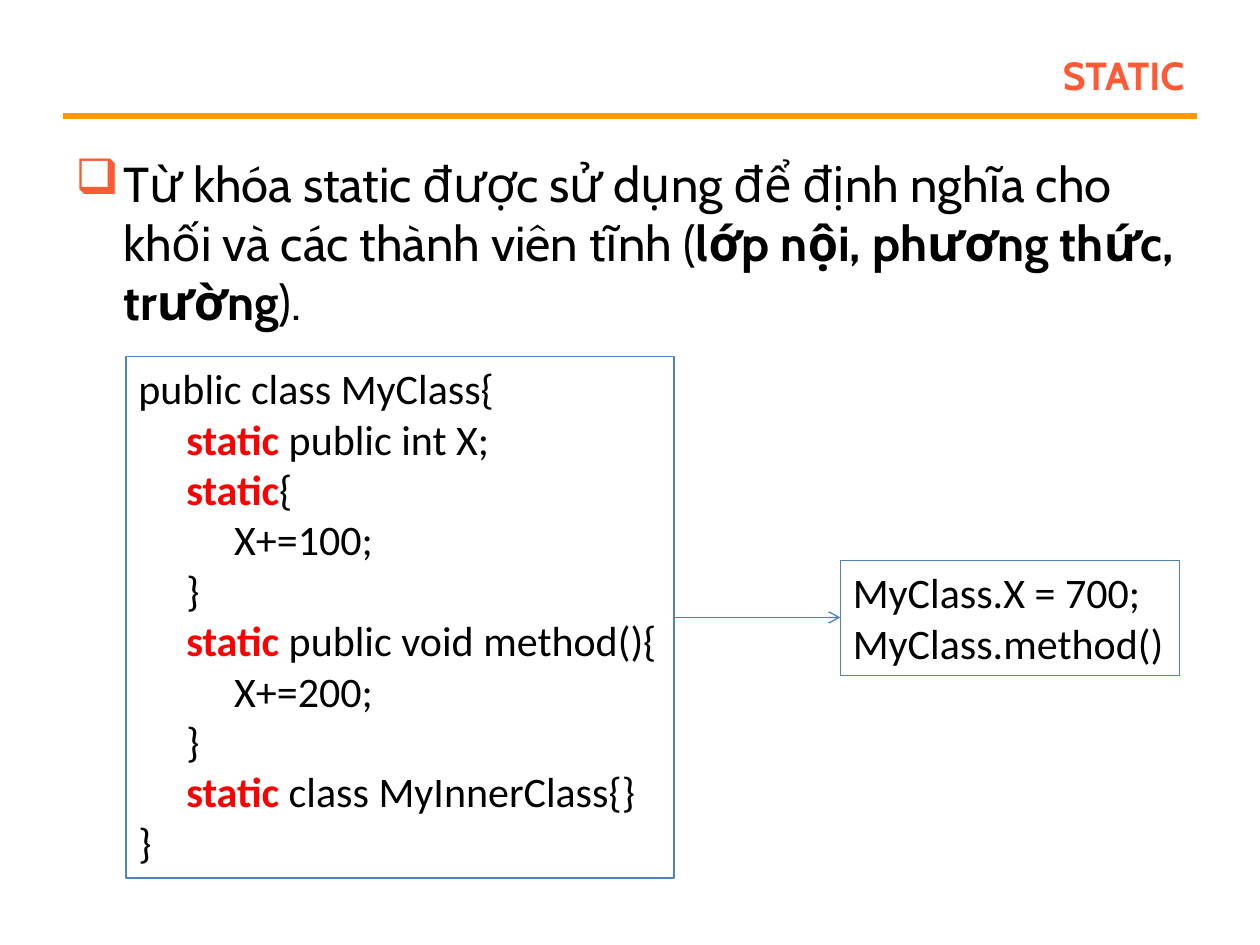
from lxml import etree
from pptx import Presentation
from pptx.dml.color import RGBColor
from pptx.enum.shapes import MSO_CONNECTOR, MSO_SHAPE
from pptx.enum.text import MSO_ANCHOR, MSO_AUTO_SIZE, PP_ALIGN
from pptx.oxml.ns import qn
from pptx.util import Inches, Pt

LINE = MSO_CONNECTOR.STRAIGHT
RECT = MSO_SHAPE.RECTANGLE
MIDDLE, TOP = MSO_ANCHOR.MIDDLE, MSO_ANCHOR.TOP
LEFT, RIGHT = PP_ALIGN.LEFT, PP_ALIGN.RIGHT
FIXED, GROW = MSO_AUTO_SIZE.NONE, MSO_AUTO_SIZE.SHAPE_TO_FIT_TEXT

THEME = {
    "head": "Cabin", "code": "Calibri",
    "big": 28, "small": 24,
    "ink": "000000", "accent": "FF5A33", "key": "FF0000",
    "rule": "FF9900", "edge": "4F81BD", "arrow": "4B7EBC",
}

TITLE = "static"
BODY = [
    ("Từ khóa static được sử dụng để định nghĩa cho khối và các thành viên tĩnh (", False),
    ("lớp nội, phương thức, trường", True),
    (").", False),
]
# Each code line: indent level, keyword, remaining text
CLASS = [
    (0, "", "public class MyClass{"),
    (1, "static", " public int X;"),
    (1, "static", "{"),
    (2, "", "X+=100;"),
    (1, "", "}"),
    (1, "static", " public void method(){"),
    (2, "", "X+=200;"),
    (1, "", "}"),
    (1, "static", " class MyInnerClass{}"),
    (0, "", "}"),
]
USAGE = [(0, "", "MyClass.X = 700;"), (0, "", "MyClass.method()")]

CLASS_BOX = (1, 2.83, 4.35, 4.14)
USAGE_BOX = (6.67, 4.45, 2.69, 0.91)
TAB = 0.38


def color(name):
    return RGBColor.from_string(THEME[name])


def add_run(para, text, font, size, ink="ink", bold=False):
    run = para.add_run()
    run.text = text
    run.font.name = THEME[font]
    run.font.size = Pt(THEME[size])
    run.font.bold = bold
    run.font.color.rgb = color(ink)
    return run


def indent(para, left, first=0):
    props = para._p.get_or_add_pPr()
    props.set("marL", str(Inches(left)))
    props.set("indent", str(Inches(first)))
    return props


def add_line(slide, start, end, ink, width):
    line = slide.shapes.add_connector(LINE, *map(Inches, start + end))
    line.line.color.rgb = color(ink)
    line.line.width = Pt(width)
    etree.SubElement(line._element.spPr, qn("a:effectLst"))
    return line


def add_code(slide, box, lines):
    shape = slide.shapes.add_shape(RECT, *map(Inches, box))
    shape.shadow.inherit = False
    shape.fill.background()
    shape.line.color.rgb = color("edge")
    shape.line.width = Pt(0.75)
    frame = shape.text_frame
    frame.word_wrap = False
    frame.auto_size = GROW
    frame.vertical_anchor = TOP
    for i, (level, key, rest) in enumerate(lines):
        para = frame.add_paragraph() if i else frame.paragraphs[0]
        para.alignment = LEFT
        indent(para, level * TAB)
        if key:
            add_run(para, key, "code", "small", "key", True)
        add_run(para, rest, "code", "small")


def add_title(slide):
    title = slide.shapes.title
    title.left, title.top, title.width, title.height = map(Inches, (2.25, 0.3, 7.25, 0.53))
    frame = title.text_frame
    frame.auto_size = FIXED
    frame.vertical_anchor = MIDDLE
    para = frame.paragraphs[0]
    para.alignment = RIGHT
    run = add_run(para, TITLE, "head", "big", "accent", True)
    run.font._element.set("cap", "small")


def add_body(slide):
    frame = slide.shapes.add_textbox(*map(Inches, (0.5, 1.17, 9, 1.58))).text_frame
    frame.word_wrap = True
    para = frame.paragraphs[0]
    para.space_before = Pt(0.2 * THEME["big"])
    props = indent(para, TAB, -TAB)
    tint = etree.SubElement(props, qn("a:buClr"))
    etree.SubElement(tint, qn("a:srgbClr")).set("val", THEME["accent"])
    etree.SubElement(props, qn("a:buChar")).set("char", "❑")
    for text, bold in BODY:
        add_run(para, text, "head", "big", bold=bold)


def main():
    deck = Presentation()
    deck.slide_width, deck.slide_height = Inches(10), Inches(7.5)
    slide = deck.slides.add_slide(deck.slide_layouts[5])
    add_line(slide, (0.5, 0.92), (9.5, 0.92), "rule", 3)
    add_title(slide)
    add_body(slide)
    add_code(slide, CLASS_BOX, CLASS)
    add_code(slide, USAGE_BOX, USAGE)
    mid = CLASS_BOX[1] + CLASS_BOX[3] / 2
    arrow = add_line(slide, (CLASS_BOX[0] + CLASS_BOX[2], mid), (USAGE_BOX[0], mid), "arrow", 0.75)
    etree.SubElement(arrow.line._get_or_add_ln(), qn("a:tailEnd")).set("type", "arrow")
    deck.save("out.pptx")


if __name__ == "__main__":
    main()
